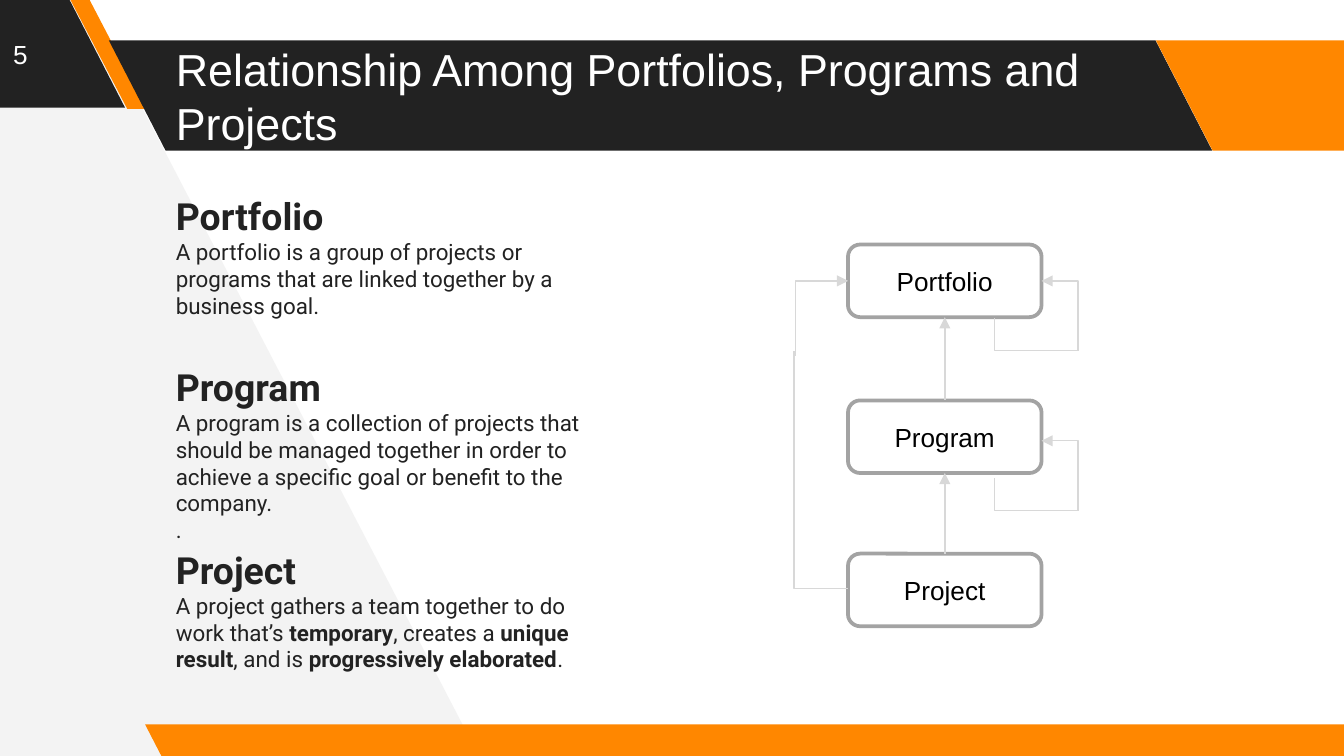
from lxml.etree import SubElement
from pptx import Presentation
from pptx.dml.color import RGBColor
from pptx.enum.shapes import MSO_CONNECTOR as Link, MSO_SHAPE as Shape
from pptx.enum.text import MSO_ANCHOR as Anchor, PP_ALIGN as Align
from pptx.oxml.ns import qn
from pptx.util import Inches, Pt

# Content
TITLE = "Relationship Among Portfolios, Programs and Projects"
PAGE_NUMBER = "5"
# Each body paragraph is a list of (text, bold) spans
SECTIONS = [
    ("Portfolio", [
        [("A portfolio is a group of projects or programs that are linked "
          "together by a business goal.", False)],
    ]),
    ("Program", [
        [("A program is a collection of projects that should be managed "
          "together in order to achieve a specific goal or benefit to the "
          "company.", False)],
        [(".", False)],
    ]),
    ("Project", [
        [("A project gathers a team together to do work that’s ", False),
         ("temporary", True), (", creates a ", False),
         ("unique result", True), (", and is ", False),
         ("progressively elaborated", True), (".", False)],
    ]),
]
COLORS = {"dark": "222222", "orange": "FF8700", "pale": "F3F3F3",
          "white": "FFFFFF", "black": "000000",
          "border": "A3A3A3", "arrow": "D8D8D8"}

# Layout, in inches
WIDTH = 10
HEIGHT = WIDTH * 9 / 16
TEXT_LEFT, TEXT_WIDTH = 1.21, 3.4
SECTION_EDGES = [1.34, 2.61, 3.97, 5.33]
BAND_TOP, BAND_HEIGHT = 0.3, 0.82
NODE_LEFT, NODE_WIDTH, NODE_HEIGHT = 6.31, 1.44, 0.54
NODE_TOPS = [1.82, 2.98, 4.12]
NODE_RIGHT = NODE_LEFT + NODE_WIDTH
NODE_CENTER = NODE_LEFT + NODE_WIDTH / 2
BACKDROP = [(3.56, 5.62), (0.62, -0.04), (-0.06, -0.04), (-0.02, 5.66)]
SLANTS = [  # left, top, width, height, slant, color
    (-0.99, -0.02, 1.92, BAND_HEIGHT, 0.515, "dark"),
    (0.52, -0.01, 0.57, BAND_HEIGHT, 0.75, "orange"),
    (0.81, BAND_TOP, 8.21, BAND_HEIGHT, 0.515, "dark"),
    (8.6, BAND_TOP, 1.92, BAND_HEIGHT, 0.515, "orange"),
    (1.08, 5.39, 9.15, 0.25, 0.515, "orange"),
]

deck = Presentation()
deck.slide_width, deck.slide_height = Inches(WIDTH), Inches(HEIGHT)
page = deck.slides.add_slide(deck.slide_layouts[6])


def color(name):
    return RGBColor.from_string(COLORS[name])


def paint(shape, name):
    shape.shadow.inherit = False
    shape.fill.solid()
    shape.fill.fore_color.rgb = color(name)
    shape.line.fill.background()


def style(font, size, name, face="Arial", bold=False):
    font.size, font.name, font.bold = Pt(size), face, bold
    font.color.rgb = color(name)


def add_text_box(left, top, width, height, anchor=Anchor.TOP):
    box = page.shapes.add_textbox(*map(Inches, (left, top, width, height)))
    frame = box.text_frame
    frame.word_wrap = True
    frame.vertical_anchor = anchor
    frame.margin_left = frame.margin_right = Inches(0.1)
    frame.margin_top = frame.margin_bottom = Inches(0.1)
    return frame


def add_label(text, size, *place):
    frame = add_text_box(*place, anchor=Anchor.MIDDLE)
    frame.text = text
    style(frame.paragraphs[0].runs[0].font, size, "white")


def add_arrow(start, end, bent=True, pointed=True):
    """Link that leaves start sideways when bent; the arrowhead is at start."""
    kind = Link.ELBOW if bent else Link.STRAIGHT
    link = page.shapes.add_connector(kind, *map(Inches, (*start, *end)))
    link.line.color.rgb = color("arrow")
    link.line.width = Pt(0.75)
    properties = link.element.spPr
    if bent:
        properties.find(qn("a:prstGeom")).set("prst", "bentConnector2")
    if pointed:
        SubElement(properties.find(qn("a:ln")), qn("a:headEnd"), type="triangle")
    SubElement(properties, qn("a:effectLst"))


# Backdrop and slanted bands
builder = page.shapes.build_freeform(*map(Inches, BACKDROP[0]), scale=1.0)
builder.add_line_segments([(Inches(x), Inches(y)) for x, y in BACKDROP[1:]])
paint(builder.convert_to_shape(), "pale")
for *place, slant, name in SLANTS:
    band = page.shapes.add_shape(Shape.PARALLELOGRAM, *map(Inches, place))
    band.adjustments[0] = slant
    band.element.spPr.find(qn("a:xfrm")).set("flipH", "1")
    paint(band, name)

# Title and page number
add_label(TITLE, 24, TEXT_LEFT, BAND_TOP, 7.63, BAND_HEIGHT)
add_label(PAGE_NUMBER, 14, 0, 0, 0.65, 0.8)

# Definitions
for (heading, paragraphs), top, bottom in zip(
        SECTIONS, SECTION_EDGES, SECTION_EDGES[1:]):
    frame = add_text_box(TEXT_LEFT, top, TEXT_WIDTH, bottom - top)
    frame.text = heading
    style(frame.paragraphs[0].runs[0].font, 20, "dark", "Roboto", True)
    for spans in paragraphs:
        para = frame.add_paragraph()
        for text, bold in spans:
            span = para.add_run()
            span.text = text
            style(span.font, 12, "dark", "Roboto", bold)

# Diagram nodes
for top, (name, _) in zip(NODE_TOPS, SECTIONS):
    node = page.shapes.add_shape(
        Shape.ROUNDED_RECTANGLE,
        *map(Inches, (NODE_LEFT, top, NODE_WIDTH, NODE_HEIGHT)))
    node.shadow.inherit = False
    node.fill.background()
    node.line.color.rgb = color("border")
    node.line.width = Pt(2)
    node.text_frame.text = name
    node.text_frame.vertical_anchor = Anchor.MIDDLE
    para = node.text_frame.paragraphs[0]
    para.alignment = Align.CENTER
    style(para.runs[0].font, 14, "black")

# Upward arrows between neighbours
for upper, lower in zip(NODE_TOPS, NODE_TOPS[1:]):
    add_arrow((NODE_CENTER, upper + NODE_HEIGHT), (NODE_CENTER, lower), bent=False)

# Project to portfolio, along the left side
add_arrow((NODE_LEFT, 2.09), (5.92, 2.65))
add_arrow((NODE_LEFT, 4.38), (5.91, 2.61), pointed=False)

# Loops from a node back to itself, on the right side
for tip in (2.09, 3.28):
    corner = (8.02, tip + 0.52)
    add_arrow((NODE_RIGHT, tip), corner)
    add_arrow(corner, (7.4, tip + 0.28), pointed=False)

deck.save("out.pptx")
